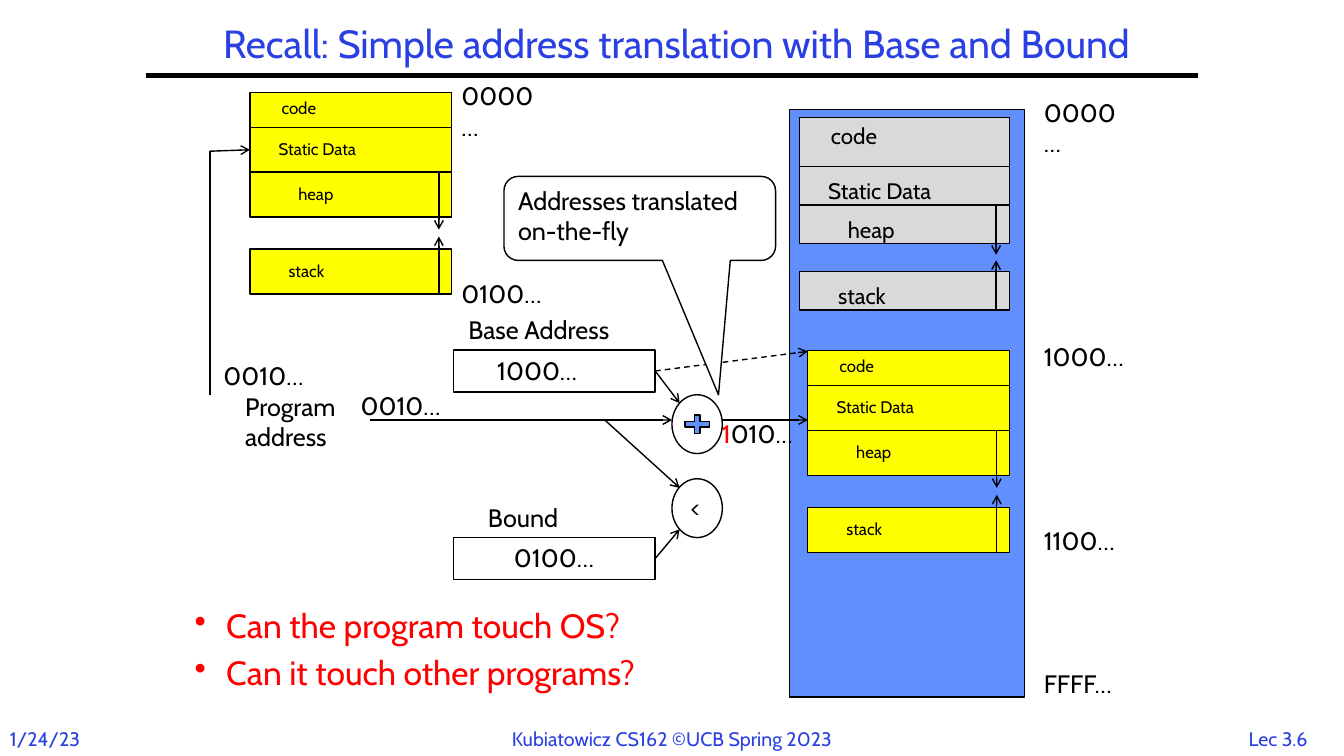
"""Builds the slide on address translation with base and bound."""
import pptx
import pptx.dml.color
import pptx.enum.dml
import pptx.enum.shapes
import pptx.enum.text
import pptx.oxml.ns
import pptx.util
from lxml import etree

Pt = pptx.util.Pt
SHAPES = pptx.enum.shapes.MSO_SHAPE
ALIGN = pptx.enum.text.PP_ALIGN
ANCHOR = pptx.enum.text.MSO_ANCHOR

FONT = "Cabin"
COLORS = {"blue": "2A40E2", "memory": "618FFD", "program": "FFFF00", "system": "D9D9D9",
          "black": "000000", "red": "FF0000", "white": "FFFFFF"}

TITLE = "Recall: Simple address translation with Base and Bound"
FOOTERS = [("1/24/23", 0, 72, ALIGN.LEFT),
           ("Kubiatowicz CS162 ©UCB Spring 2023", 345, 270, ALIGN.CENTER),
           ("Lec 3.6", 876, 74, ALIGN.CENTER)]
QUESTIONS = ["Can the program touch OS?", "Can it touch other programs?"]
CALLOUT = "Addresses translated\von-the-fly"
LABELS = [
    ("0000…", 738.5, 66, 73), ("1000…", 738.5, 240, 73), ("1100…", 738.5, 372, 73),
    ("FFFF…", 738.5, 474, 77), ("0000…", 322.5, 54, 73), ("0100…", 322.5, 195, 73),
    ("Base Address", 327.5, 221, 130), ("1000…", 348, 250, 73),
    ("Bound", 341.5, 355, 78), ("0100…", 360, 384, 73),
    ("Program\naddress", 168, 276, 88), ("0010…", 152.5, 254, 73),
    ("0010…", 250.5, 275, 73), ("<", 486, 348, 28), ("1010…", 508.5, 295.5, 73),
]
SEGMENTS = [("code", 15.5), ("Static Data", 13.5), ("heap", 27.5), ("stack", 20.5)]
PROGRAM = {"width": 144, "heights": (25, 32, 32, 32), "gap": 23, "arrow": 41,
           "arrow_x": 135, "size": 12, "drop": 4.5, "fill": "program"}
SYSTEM = {"width": 150, "heights": (35, 27.5, 27.5, 27.5), "gap": 20, "arrow": 35.5,
          "arrow_x": 140.5, "size": 16, "drop": 4, "fill": "system"}

deck = pptx.Presentation()
deck.slide_width, deck.slide_height = Pt(960), Pt(540)
page = deck.slides.add_slide(deck.slide_layouts[6])


def color(name):
    return pptx.dml.color.RGBColor.from_string(COLORS[name])


def style(para, size, name):
    for span in para.runs:
        span.font.name = FONT
        span.font.size = Pt(size)
        span.font.color.rgb = color(name)


def add_text(text, left, top, width, height, size, name="black", align=ALIGN.LEFT):
    box = page.shapes.add_textbox(Pt(left), Pt(top), Pt(width), Pt(height))
    box.text_frame.word_wrap = True
    box.text_frame.text = text
    for para in box.text_frame.paragraphs:
        para.alignment = align
        style(para, size, name)
    return box


def add_block(kind, left, top, width, height, fill=None):
    block = page.shapes.add_shape(kind, Pt(left), Pt(top), Pt(width), Pt(height))
    block.shadow.inherit = False
    if fill:
        block.fill.solid()
        block.fill.fore_color.rgb = color(fill)
    else:
        block.fill.background()
    block.line.color.rgb = color("black")
    block.line.width = Pt(1)
    return block


def add_line(start, end, weight=1, arrow=True, dashed=False, source=None, target=None):
    line = page.shapes.add_connector(pptx.enum.shapes.MSO_CONNECTOR.STRAIGHT,
                                     *(Pt(value) for value in (*start, *end)))
    line.line.color.rgb = color("black")
    line.line.width = Pt(weight)
    if dashed:
        line.line.dash_style = pptx.enum.dml.MSO_LINE.DASH
    if arrow:
        etree.SubElement(line.line._get_or_add_ln(), pptx.oxml.ns.qn("a:tailEnd"), type="arrow")
    etree.SubElement(line._element.spPr, pptx.oxml.ns.qn("a:effectLst"))
    if source is not None:
        line.begin_connect(source, 3)
    if target is not None:
        line.end_connect(target, 1)


def add_memory_map(left, top, look):
    blocks, tops = [], []
    for index, ((name, indent), height) in enumerate(zip(SEGMENTS, look["heights"])):
        top += look["gap"] if name == "stack" else 0
        blocks.append(add_block(SHAPES.RECTANGLE, left, top, look["width"], height, look["fill"]))
        add_text(name, left + indent, top + (look["drop"] if index else 0),
                 110, look["size"] * 1.2 + 7.2, look["size"])
        tops.append(top)
        top += height
    arrow_x = left + look["arrow_x"]
    add_line((arrow_x, top), (arrow_x, top - look["arrow"]))
    add_line((arrow_x, tops[2]), (arrow_x, tops[2] + look["arrow"]))
    return blocks


for text, left, width, align in FOOTERS:
    add_text(text, left, 515.5, width, 24, 14, "blue", align)
add_line((104, 54), (856, 54), weight=3, arrow=False)
title = add_text(TITLE, 120, 12, 726, 42, 28, "blue", ALIGN.CENTER)
title.text_frame.vertical_anchor = ANCHOR.MIDDLE
title.text_frame.paragraphs[0].line_spacing = 0.9

add_block(SHAPES.RECTANGLE, 564, 78, 168, 420, "memory")
add_memory_map(571, 84, SYSTEM)
add_memory_map(577, 250.5, PROGRAM)
virtual_blocks = add_memory_map(178.5, 66, PROGRAM)

base_box = add_block(SHAPES.RECTANGLE, 324, 250, 144, 30)
bound_box = add_block(SHAPES.RECTANGLE, 324, 384, 144, 30)
add_block(SHAPES.MATH_PLUS, 486, 294, 24, 18, "memory")
for top in (282, 342):
    add_block(SHAPES.OVAL, 480, top, 36, 42)

add_line((468, 265), (577, 251), dashed=True, source=base_box)
add_line((468, 265), (485.5, 288), source=base_box)
add_line((468, 399), (485.5, 378), source=bound_box)
add_line((264, 300), (480, 300))
add_line((516, 300), (577, 300))
add_line((432, 300), (485.5, 348.5))
add_line((150, 108), (178.5, 107), target=virtual_blocks[1])
add_line((150, 108), (150, 282), arrow=False)

for text, left, top, width in LABELS:
    label = add_text(text, left, top, width, 29 + 22 * text.count("\n"), 18)
    if text == "1010…":
        para = label.text_frame.paragraphs[0]
        para.text = text[0]
        para.add_run().text = text[1:]
        style(para, 18, "black")
        para.runs[0].font.color.rgb = color("red")

questions = add_text("\n".join(QUESTIONS), 132, 432, 420, 90, 24, "red")
for index, para in enumerate(questions.text_frame.paragraphs):
    para.line_spacing = 0.9
    para.space_before = Pt(7.2 if index else 0)
    properties = para._p.get_or_add_pPr()
    properties.set("marL", str(Pt(22.5)))
    properties.set("indent", str(-Pt(22.5)))
    etree.SubElement(properties, pptx.oxml.ns.qn("a:buChar"), char="•")

callout = add_block(SHAPES.ROUNDED_RECTANGULAR_CALLOUT, 360, 126, 194, 60, "white")
for index, value in enumerate((0.29, 2.1, 0.17)):
    callout.adjustments[index] = value
callout.text_frame.word_wrap = True
callout.text_frame.vertical_anchor = ANCHOR.TOP
callout.text_frame.text = CALLOUT
callout.text_frame.paragraphs[0].alignment = ALIGN.LEFT
style(callout.text_frame.paragraphs[0], 18, "black")

deck.save("out.pptx")
